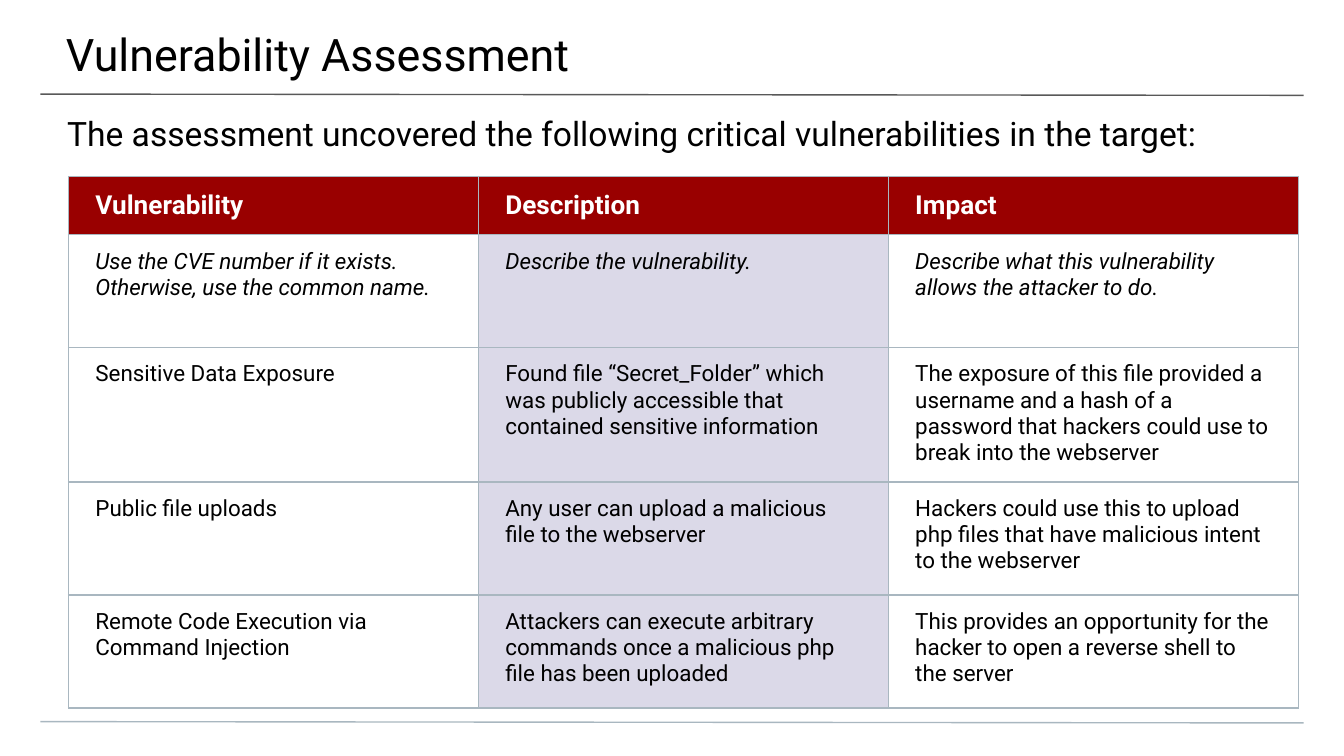
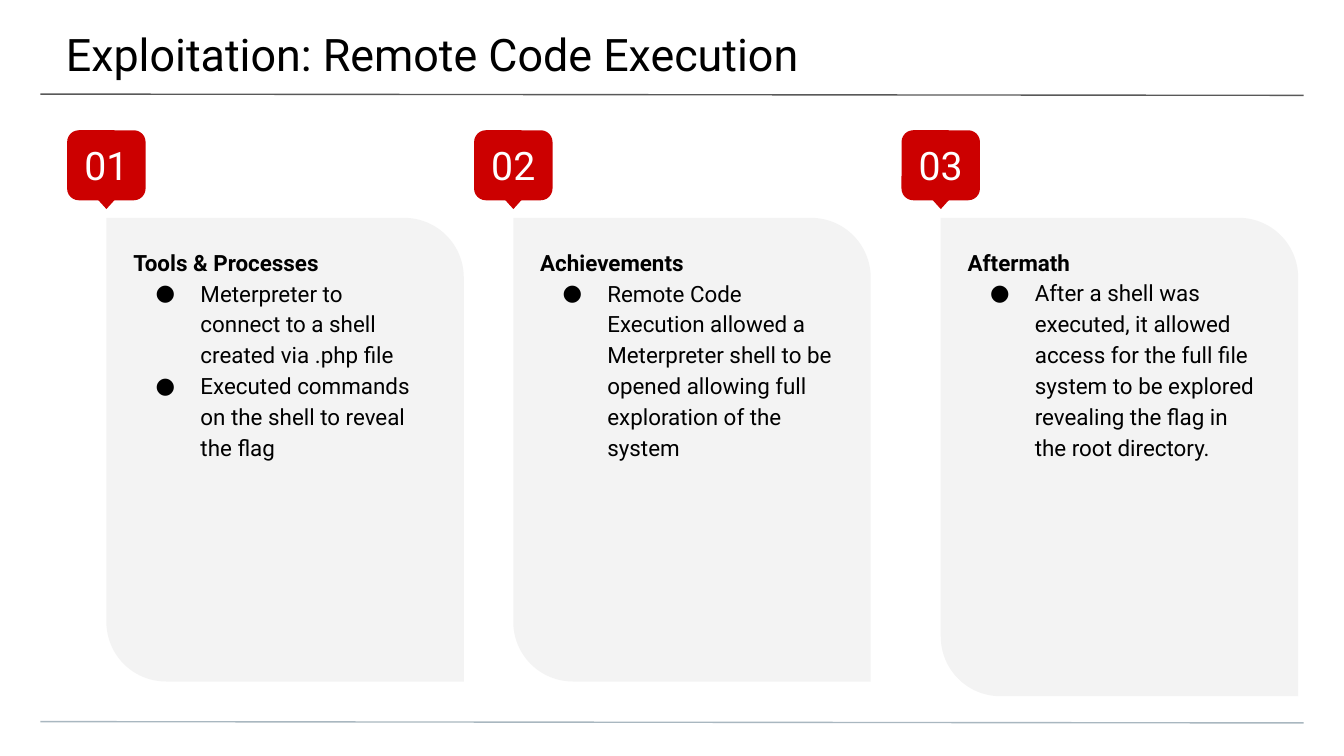
"""Build two security report slides: a vulnerability table and three exploitation cards."""
from lxml import etree
from pptx import Presentation
from pptx.dml.color import RGBColor
from pptx.enum import shapes, text
from pptx.oxml import ns
from pptx.util import Pt

COLORS = {
    "ink": "000000", "paper": "FFFFFF", "rule": "595959", "edge": "A9B7C0",
    "header": "990000", "badge": "CC0000", "tint": "DBD9E8", "card": "F3F3F3",
}
FONT = "Roboto"

VULNERABILITIES = [
    ("Vulnerability", "Description", "Impact"),
    ("Use the CVE number if it exists. Otherwise, use the common name.",
     "Describe the vulnerability.",
     "Describe what this vulnerability allows the attacker to do."),
    ("Sensitive Data Exposure",
     "Found file “Secret_Folder” which was publicly accessible that contained sensitive information",
     "The exposure of this file provided a username and a hash of a password "
     "that hackers could use to break into the webserver"),
    ("Public file uploads",
     "Any user can upload a malicious file to the webserver",
     "Hackers could use this to upload php files that have malicious intent to the webserver"),
    ("Remote Code Execution via Command Injection",
     "Attackers can execute arbitrary commands once a malicious php file has been uploaded",
     "This provides an opportunity for the hacker to open a reverse shell to the server"),
]

CARDS = [
    (57, 186.5, 248.4, "Tools & Processes",
     ["Meterpreter to connect to a shell created via .php file",
      "Executed commands on the shell to reveal the flag"]),
    (275, 191.5, 248.4, "Achievements",
     ["Remote Code Execution allowed a Meterpreter shell to be opened "
      "allowing full exploration of the system"]),
    (504, 186.5, 256.3, "Aftermath",
     ["After a shell was executed, it allowed access for the full file system "
      "to be explored revealing the flag in the root directory."]),
]


def color(name):
    return RGBColor.from_string(COLORS[name])


def add_xml(parent, tag, **attributes):
    return etree.SubElement(parent, ns.qn(tag), attributes)


class Slides:
    """Holds the deck, its style and the current page."""

    def __init__(self):
        self.deck = Presentation()
        self.deck.slide_width, self.deck.slide_height = Pt(720), Pt(405)
        self.page = None

    def new_page(self, title):
        self.page = self.deck.slides.add_slide(self.deck.slide_layouts[6])
        self.page.background.fill.solid()
        self.page.background.fill.fore_color.rgb = color("paper")
        self.line(50.4, 51.1, "rule")
        self.line(386.6, 387.3, "edge")
        self.text(-0.7, 0, 722, 42, [title], 24, (36, 14.4, 21.6, 7.2))

    def line(self, start, end, ink):
        rule = self.page.shapes.add_connector(
            shapes.MSO_CONNECTOR.STRAIGHT, Pt(21.6), Pt(start), Pt(698.4), Pt(end))
        rule.line.color.rgb = color(ink)
        rule.line.width = Pt(0.75)
        add_xml(rule._element.spPr, "a:effectLst")

    def style(self, para, size, ink="ink", bold=False, italic=False):
        font = para.font
        font.name, font.size, font.bold, font.italic = FONT, Pt(size), bold, italic
        font.color.rgb = color(ink)

    def margins(self, frame, insets):
        (frame.margin_left, frame.margin_top,
         frame.margin_right, frame.margin_bottom) = map(Pt, insets)

    def text(self, left, top, width, height, lines, size, insets):
        box = self.page.shapes.add_textbox(Pt(left), Pt(top), Pt(width), Pt(height))
        frame = box.text_frame
        frame.word_wrap = True
        self.margins(frame, insets)
        frame.text = "\n".join(lines)
        for para in frame.paragraphs:
            self.style(para, size)
        return frame

    def bullet(self, para):
        props = para._p.get_or_add_pPr()
        props.set("marL", str(Pt(36)))
        props.set("indent", str(-Pt(24)))
        add_xml(add_xml(props, "a:buClr"), "a:srgbClr", val=COLORS["ink"])
        add_xml(props, "a:buFont", typeface=FONT)
        add_xml(props, "a:buChar", char="●")

    def shape(self, group, kind, left, top, width, height, fill):
        form = group.shapes.add_shape(kind, Pt(left), Pt(top), Pt(width), Pt(height))
        form.shadow.inherit = False
        form.fill.solid()
        form.fill.fore_color.rgb = color(fill)
        form.line.fill.background()
        return form

    def badge(self, left, top, label):
        group = self.page.shapes.add_group_shape()
        plate = self.shape(group, shapes.MSO_SHAPE.ROUNDED_RECTANGLE, left, top, 42, 37.5, "badge")
        frame = plate.text_frame
        self.margins(frame, [7.2] * 4)
        frame.vertical_anchor = text.MSO_ANCHOR.MIDDLE
        para = frame.paragraphs[0]
        para.text = label
        para.alignment = text.PP_ALIGN.CENTER
        self.style(para, 21, "paper")
        pointer = self.shape(group, shapes.MSO_SHAPE.FLOWCHART_EXTRACT,
                             left + 10.7, top + 30.8, 20.6, 11.4, "badge")
        pointer.rotation = 180

    def card(self, left, text_width, height, heading, points):
        top = 116.7
        panel = self.shape(self.page, shapes.MSO_SHAPE.ROUND_2_DIAG_RECTANGLE,
                           left, top, 191.5, height, "card")
        panel.adjustments[0], panel.adjustments[1] = 0, 0.167
        frame = self.text(left, top, text_width, height, [], 12, [14.4] * 4)
        for index, line in enumerate([heading, *points]):
            para = frame.add_paragraph() if index else frame.paragraphs[0]
            para.text = line
            para.line_spacing = 1.15
            if index:
                self.bullet(para)
            self.style(para, 12, bold=index == 0)

    def cell(self, cell, words, fill, **style):
        self.margins(cell, (14.4, 7.2, 14.4, 7.2))
        props = cell._tc.get_or_add_tcPr()
        for side in "LRTB":
            edge = add_xml(props, f"a:ln{side}", w=str(Pt(0.75)))
            add_xml(add_xml(edge, "a:solidFill"), "a:srgbClr", val=COLORS["edge"])
        if fill:
            cell.fill.solid()
            cell.fill.fore_color.rgb = color(fill)
        else:
            cell.fill.background()
        cell.text = words
        self.style(cell.text_frame.paragraphs[0], **style)

    def table(self, left, top, column_width, row_heights, rows):
        grid = self.page.shapes.add_table(
            len(rows), len(rows[0]), Pt(left), Pt(top),
            Pt(column_width * len(rows[0])), Pt(sum(row_heights))).table
        grid.first_row = grid.horz_banding = False
        for column in grid.columns:
            column.width = Pt(column_width)
        for r, words in enumerate(rows):
            grid.rows[r].height = Pt(row_heights[r])
            for c, word in enumerate(words):
                cell = grid.cell(r, c)
                if r == 0:
                    self.cell(cell, word, "header", size=14, ink="paper", bold=True)
                    cell.vertical_anchor = text.MSO_ANCHOR.MIDDLE
                else:
                    self.cell(cell, word, "tint" if c == 1 else None, size=12, italic=r == 1)


def main():
    slides = Slides()
    slides.new_page("Vulnerability Assessment")
    slides.text(0, 53.3, 720, 28.8,
                ["The assessment uncovered the following critical vulnerabilities in the target:"],
                18, (36, 7.2, 36, 0))
    slides.table(36.7, 94.5, 219.6, [31] + [60.5] * 4, VULNERABILITIES)

    slides.new_page("Exploitation: Remote Code Execution")
    for number, (left, text_width, height, heading, points) in enumerate(CARDS, 1):
        slides.card(left, text_width, height, heading, points)
        slides.badge(left - 21, 69.8, f"{number:02}")
    slides.deck.save("out.pptx")


if __name__ == "__main__":
    main()
